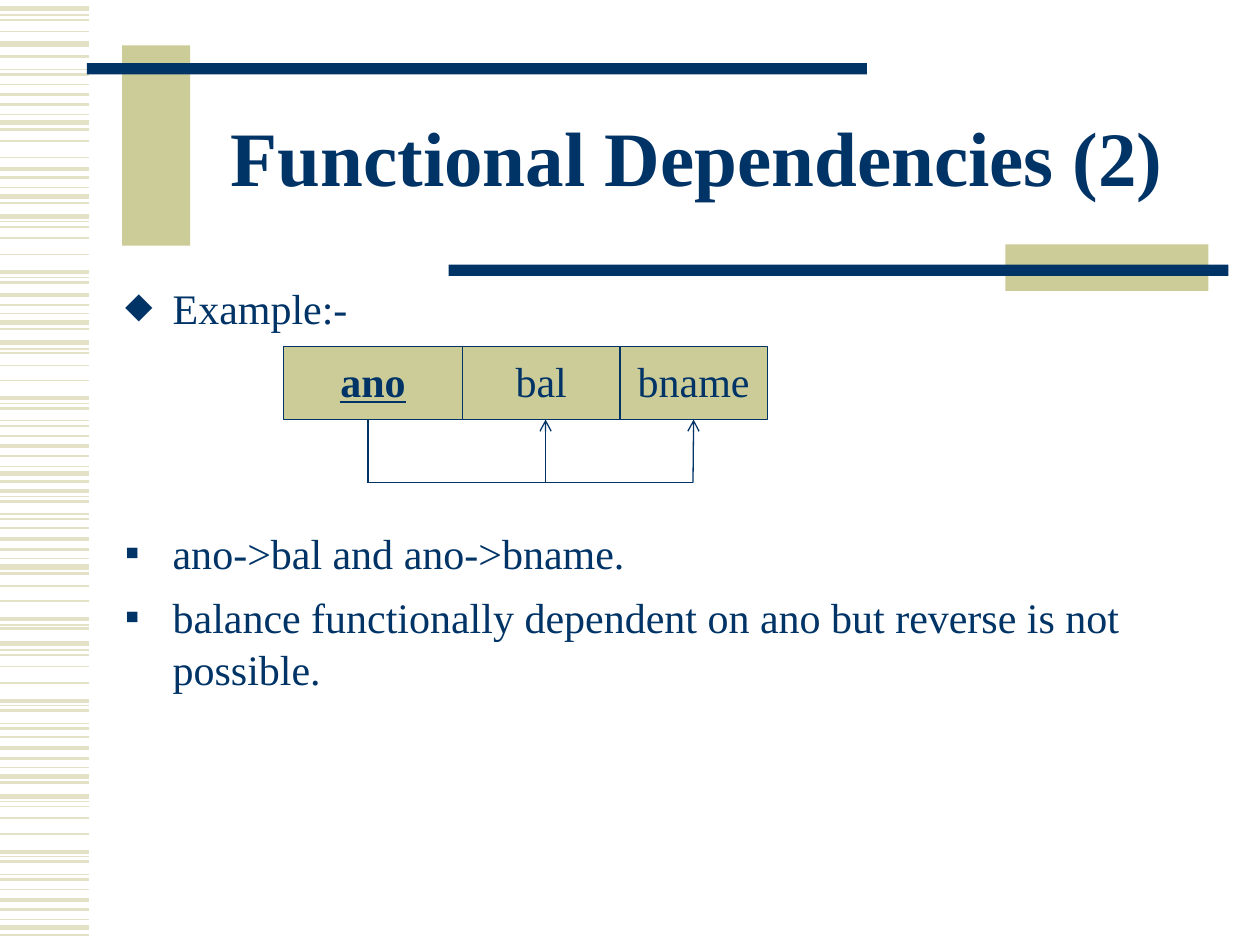
"""Build the slide on functional dependencies, 100 px to the inch."""
from dataclasses import dataclass
from lxml.etree import SubElement
from pptx import Presentation
from pptx.dml.color import RGBColor
from pptx.enum.shapes import MSO_CONNECTOR, MSO_SHAPE
from pptx.enum.text import MSO_ANCHOR, MSO_AUTO_SIZE, PP_ALIGN
from pptx.oxml.ns import qn
from pptx.util import Emu, Pt

PX = 9144


@dataclass(frozen=True)
class Theme:
    navy: str = "003366"
    sand: str = "CCCC99"
    pale: str = "E3E2C7"
    font: str = "Times New Roman"
    head: int = 44
    text: int = 24
    rule: float = 0.75
    lead: float = 1.05


LOOK = Theme()
TITLE = "Functional Dependencies (2)"
ITEMS = [
    ("⬥", "Example:-", 0),
    ("▪", "ano->bal and ano->bname.", 110),
    ("▪", "balance functionally dependent on ano but reverse is not possible.", 6),
]
FIELDS = [("ano", 142, True), ("bal", 125, False), ("bname", 117, False)]
BARS = [
    (97, 36, 54, 159, LOOK.sand),
    (69, 50, 619, 9, LOOK.navy),
    (798, 194, 161, 37, LOOK.sand),
    (356, 210, 619, 9, LOOK.navy),
]
STRIPES = {
    0.75: [12, 55, 91, 149, 176, 220, 249, 277, 320, 334, 370, 394, 408, 443,
           496, 516, 560, 574, 609, 636, 680, 694, 730],
    1: [16, 25, 67, 112, 125, 180, 189, 202, 280, 290, 302, 346, 419, 465,
        477, 520, 529, 542, 585, 640, 649, 662, 706],
    1.5: [45, 59, 83, 103, 141, 161, 224, 242, 261, 324, 338, 362, 382, 398,
          412, 436, 455, 499, 564, 578, 602, 621, 684, 698, 722, 742],
    2.25: [75, 134, 216, 234, 316, 354, 390, 428, 491, 556, 594, 676, 714],
    3: [7, 35, 97, 156, 172, 256, 272, 376, 450, 511, 616, 632, 736],
}
EDGE = 71
LEFT, TOP, HIGH = 225, 275, 58
FOOT, LOW = TOP + HIGH, 383
FROM, MID, LAST = 292, 433, 550


def tint(hue):
    return RGBColor.from_string(hue)


def place(shape, *box):
    shape.left, shape.top, shape.width, shape.height = [Emu(n * PX) for n in box]


def style(para, size, bold=False, under=False):
    font = para.font
    font.name, font.size, font.bold = LOOK.font, Pt(size), bold
    font.underline = under
    font.color.rgb = tint(LOOK.navy)


def block(shapes, box, hue):
    shape = shapes.add_shape(MSO_SHAPE.RECTANGLE, *[Emu(n * PX) for n in box])
    shape.shadow.inherit = False
    shape.fill.solid()
    shape.fill.fore_color.rgb = tint(hue)
    shape.line.fill.background()
    return shape


def stroke(shapes, ends, hue, width, arrow=False):
    line = shapes.add_connector(MSO_CONNECTOR.STRAIGHT, *[Emu(n * PX) for n in ends])
    line.line.color.rgb = tint(hue)
    line.line.width = Pt(width)
    if arrow:
        SubElement(line.line._get_or_add_ln(), qn("a:tailEnd"), type="arrow")
    SubElement(line.element.spPr, qn("a:effectLst"))
    return line


def bullet(para, mark):
    props = para._p.get_or_add_pPr()
    props.set("marL", str(38 * PX))
    props.set("indent", str(-38 * PX))
    color = SubElement(props, qn("a:buClr"))
    SubElement(color, qn("a:srgbClr"), val=LOOK.navy)
    SubElement(props, qn("a:buFont"), typeface=LOOK.font)
    SubElement(props, qn("a:buChar"), char=mark)


def backdrop(shapes):
    for width, rows in STRIPES.items():
        for y in rows:
            stroke(shapes, (0, y, EDGE, y), LOOK.pale, width)
    for *box, hue in BARS:
        block(shapes, box, hue)


def words(title, body):
    for shape in (title, body):
        shape.element.getparent().append(shape.element)
        shape.text_frame.auto_size = MSO_AUTO_SIZE.NONE
    place(title, 150, 67, 807, 125)
    title.text_frame.text = TITLE
    title.text_frame.vertical_anchor = MSO_ANCHOR.MIDDLE
    para = title.text_frame.paragraphs[0]
    para.alignment, para.line_spacing = PP_ALIGN.CENTER, 0.85
    style(para, LOOK.head, bold=True)

    place(body, 89, 217, 870, 450)
    frame = body.text_frame
    frame.text = "\n".join(text for _, text, _ in ITEMS)
    for para, (mark, _, gap) in zip(frame.paragraphs, ITEMS):
        bullet(para, mark)
        para.space_before, para.line_spacing = Pt(gap), LOOK.lead
        style(para, LOOK.text)


def fields(shapes):
    x = LEFT
    for name, wide, key in FIELDS:
        cell = block(shapes, (x, TOP, wide, HIGH), LOOK.sand)
        cell.line.color.rgb = tint(LOOK.navy)
        cell.line.width = Pt(LOOK.rule)
        frame = cell.text_frame
        frame.text, frame.word_wrap = name, False
        frame.vertical_anchor = MSO_ANCHOR.TOP
        para = frame.paragraphs[0]
        para.alignment, para.line_spacing = PP_ALIGN.CENTER, LOOK.lead
        style(para, LOOK.text, key, key)
        x += wide
    return cell


def main():
    deck = Presentation()
    deck.slide_width, deck.slide_height = Emu(1000 * PX), Emu(750 * PX)
    slide = deck.slides.add_slide(deck.slide_layouts[1])
    shapes = slide.shapes
    title, body = slide.placeholders
    backdrop(shapes)
    words(title, body)
    last = fields(shapes)
    stroke(shapes, (FROM, FOOT, FROM, LOW), LOOK.navy, LOOK.rule)
    stroke(shapes, (FROM, LOW, LAST, LOW), LOOK.navy, LOOK.rule)
    for x in (MID, LAST):
        arrow = stroke(shapes, (x, LOW, x, FOOT), LOOK.navy, LOOK.rule, arrow=True)
    arrow.end_connect(last, 2)
    deck.save("out.pptx")


if __name__ == "__main__":
    main()
